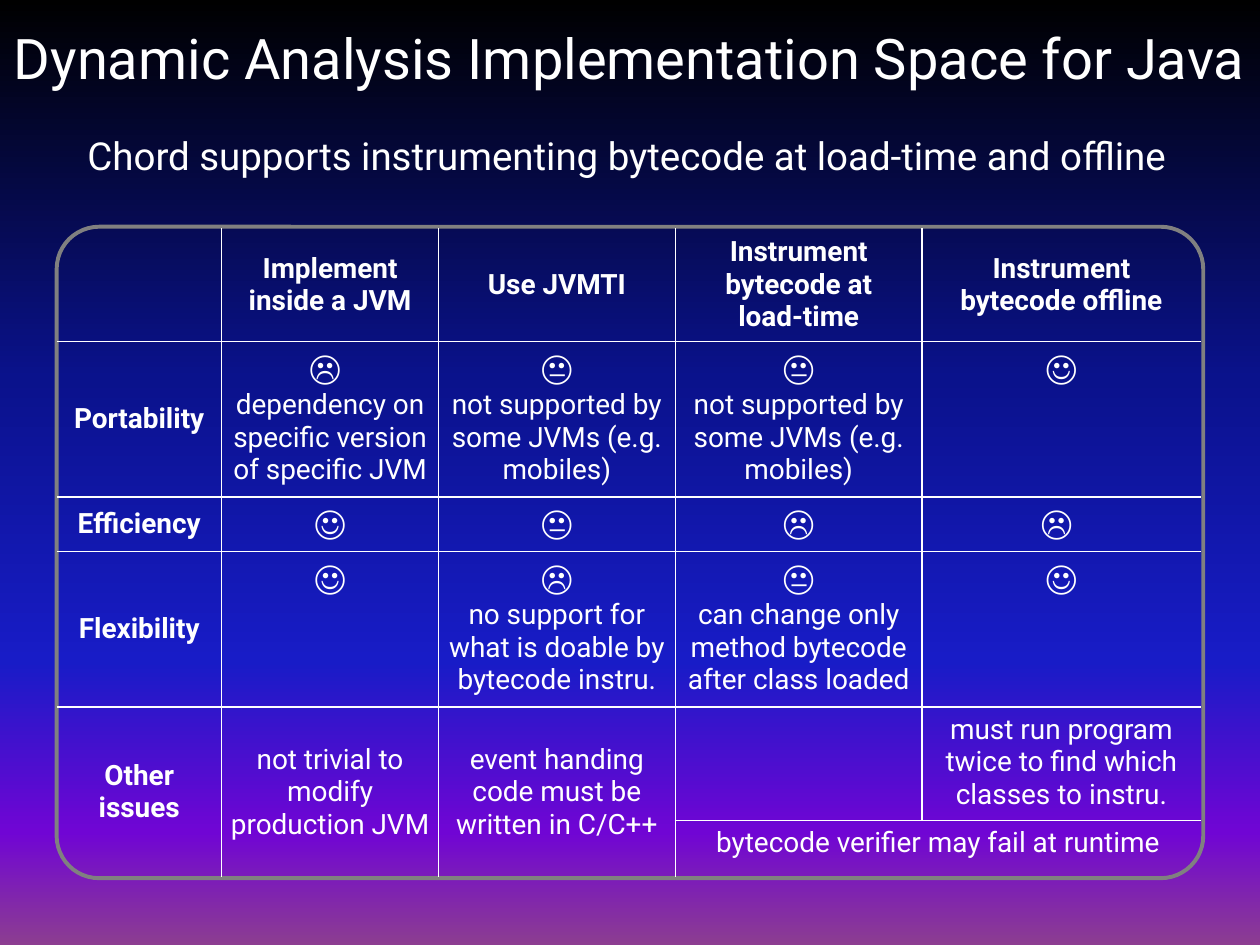
from dataclasses import dataclass

from lxml.etree import SubElement
from pptx import Presentation
from pptx.dml.color import RGBColor
from pptx.enum.shapes import MSO_SHAPE
from pptx.enum.text import MSO_ANCHOR, PP_ALIGN
from pptx.oxml.ns import qn
from pptx.util import Inches, Pt


@dataclass(frozen=True)
class Theme:
    font: str = "Roboto"
    space_font: str = "DejaVu Sans"
    text: str = "FFFFFF"
    grid: str = "FFFFFF"
    frame: str = "808080"
    title_size: int = 32
    subtitle_size: int = 22
    body_size: int = 16
    face_size: int = 20
    grid_width: float = 1
    frame_width: float = 2.25
    background: tuple = (
        (0, "000000"), (40, "0A128C"), (70, "181CC7"), (88, "7005D4"), (100, "8C3D91"),
    )


THEME = Theme()

SAD, NEUTRAL, HAPPY = "☹", "😐", "☺"

COLUMN_WIDTHS = (1.31, 1.72, 1.88, 1.96, 2.21)
ROW_HEIGHTS = (0.88, 1.21, 0.43, 1.21, 0.89, 0.45)
HEADERS = (
    "Implement inside a JVM",
    "Use JVMTI",
    "Instrument bytecode at\nload-time",
    "Instrument\nbytecode offline",
)
ASPECTS = ("Portability", "Efficiency", "Flexibility", "Other issues")
UNSUPPORTED = "not supported by some JVMs (e.g. mobiles)"
RATINGS = (
    (
        (SAD + " ", "dependency on specific version of specific JVM"),
        (NEUTRAL, UNSUPPORTED),
        (NEUTRAL, UNSUPPORTED),
        (HAPPY, ""),
    ),
    ((HAPPY, ""), (NEUTRAL, ""), (SAD, ""), (SAD + " ", "")),
    (
        (HAPPY, ""),
        (SAD, "no support for what is doable by bytecode instru."),
        (NEUTRAL, "can change only method bytecode after class loaded"),
        (HAPPY, ""),
    ),
)
MERGES = (((4, 0), (5, 0)), ((4, 1), (5, 1)), ((4, 2), (5, 2)), ((5, 3), (5, 4)))
SIDES = {"a:lnL": (0, -1), "a:lnR": (0, 1), "a:lnT": (-1, 0), "a:lnB": (1, 0)}


def add_run(paragraph, text, size, bold=False, font=THEME.font):
    run = paragraph.add_run()
    run.text = text
    run.font.name = font
    run.font.size = Pt(size)
    run.font.bold = bold
    run.font.color.rgb = RGBColor.from_string(THEME.text)


def paint_background(slide):
    fill = slide.background.fill
    fill.gradient()
    fill.gradient_angle = 270
    stops = slide.element.find(".//" + qn("a:gsLst"))
    for stop in list(stops):
        stops.remove(stop)
    for position, color in THEME.background:
        stop = SubElement(stops, qn("a:gs"), pos=str(position * 1000))
        SubElement(stop, qn("a:srgbClr"), val=color)


def add_heading(slide, text, left, top, width, height, size, wrap):
    frame = slide.shapes.add_textbox(
        Inches(left), Inches(top), Inches(width), Inches(height)
    ).text_frame
    frame.word_wrap = wrap
    frame.vertical_anchor = MSO_ANCHOR.MIDDLE
    paragraph = frame.paragraphs[0]
    paragraph.alignment = PP_ALIGN.CENTER
    add_run(paragraph, text, size)


def add_frame(slide):
    frame = slide.shapes.add_shape(
        MSO_SHAPE.ROUNDED_RECTANGLE, Inches(0.45), Inches(1.8), Inches(9.1), Inches(5.17)
    )
    frame.adjustments[0] = 0.065
    frame.shadow.inherit = False
    frame.fill.background()
    frame.line.color.rgb = RGBColor.from_string(THEME.frame)
    frame.line.width = Pt(THEME.frame_width)


def cell_paragraph(cell, anchor):
    cell.vertical_anchor = anchor
    paragraph = cell.text_frame.paragraphs[0]
    paragraph.alignment = PP_ALIGN.CENTER
    return paragraph


def write_text(cell, text, bold=False, anchor=MSO_ANCHOR.MIDDLE):
    paragraph = cell_paragraph(cell, anchor)
    for index, line in enumerate(text.split("\n")):
        if index:
            paragraph.add_line_break()
        add_run(paragraph, line, THEME.body_size, bold)


def write_rating(cell, face, note):
    paragraph = cell_paragraph(cell, MSO_ANCHOR.TOP)
    add_run(paragraph, face[0], THEME.face_size, True)
    if face[1:]:
        add_run(paragraph, face[1:], THEME.body_size, True, THEME.space_font)
    if note:
        paragraph.add_line_break()
        add_run(paragraph, note, THEME.body_size)


def draw_side(cell, side, visible):
    line = SubElement(
        cell._tc.get_or_add_tcPr(), qn(side), w=str(Pt(THEME.grid_width))
    )
    if visible:
        fill = SubElement(line, qn("a:solidFill"))
        SubElement(fill, qn("a:srgbClr"), val=THEME.grid)
    else:
        SubElement(line, qn("a:noFill"))


def style_cells(table):
    owners = {
        (row, column): (row, column)
        for row in range(len(ROW_HEIGHTS))
        for column in range(len(COLUMN_WIDTHS))
    }
    for first, last in MERGES:
        owners[last] = first
    for (row, column), owner in owners.items():
        cell = table.cell(row, column)
        cell.margin_left = cell.margin_right = Inches(0.05)
        cell.margin_top = cell.margin_bottom = Inches(0.05)
        for side, (down, across) in SIDES.items():
            neighbour = owners.get((row + down, column + across), owner)
            draw_side(cell, side, neighbour != owner)
        cell.fill.background()


def add_comparison(slide):
    table = slide.shapes.add_table(
        len(ROW_HEIGHTS), len(COLUMN_WIDTHS), Inches(0.45), Inches(1.81),
        Inches(sum(COLUMN_WIDTHS)), Inches(sum(ROW_HEIGHTS)),
    ).table
    table.first_row = table.horz_banding = False
    for column, width in zip(table.columns, COLUMN_WIDTHS):
        column.width = Inches(width)
    for row, height in zip(table.rows, ROW_HEIGHTS):
        row.height = Inches(height)
    for first, last in MERGES:
        table.cell(*first).merge(table.cell(*last))
    style_cells(table)

    for column, header in enumerate(HEADERS, 1):
        write_text(table.cell(0, column), header, True)
    for row, aspect in enumerate(ASPECTS, 1):
        write_text(table.cell(row, 0), aspect, True)
    for row, ratings in enumerate(RATINGS, 1):
        for column, (face, note) in enumerate(ratings, 1):
            write_rating(table.cell(row, column), face, note)
    write_text(table.cell(4, 1), "not trivial to modify production JVM")
    write_text(table.cell(4, 2), "event handing code must be written in C/C++")
    write_text(
        table.cell(4, 4), "must run program twice to find which classes to instru.",
        anchor=MSO_ANCHOR.TOP,
    )
    write_text(
        table.cell(5, 3), "bytecode verifier may fail at runtime", anchor=MSO_ANCHOR.TOP
    )


def main():
    deck = Presentation()
    deck.slide_width, deck.slide_height = Inches(10), Inches(7.5)
    slide = deck.slides.add_slide(deck.slide_layouts[6])
    paint_background(slide)
    add_heading(
        slide, "Dynamic Analysis Implementation Space for Java",
        0, 0.08, 10, 0.75, THEME.title_size, True,
    )
    add_frame(slide)
    add_heading(
        slide, "Chord supports instrumenting bytecode at load-time and offline",
        0.55, 1, 8.85, 0.47, THEME.subtitle_size, False,
    )
    add_comparison(slide)
    deck.save("out.pptx")


if __name__ == "__main__":
    main()
